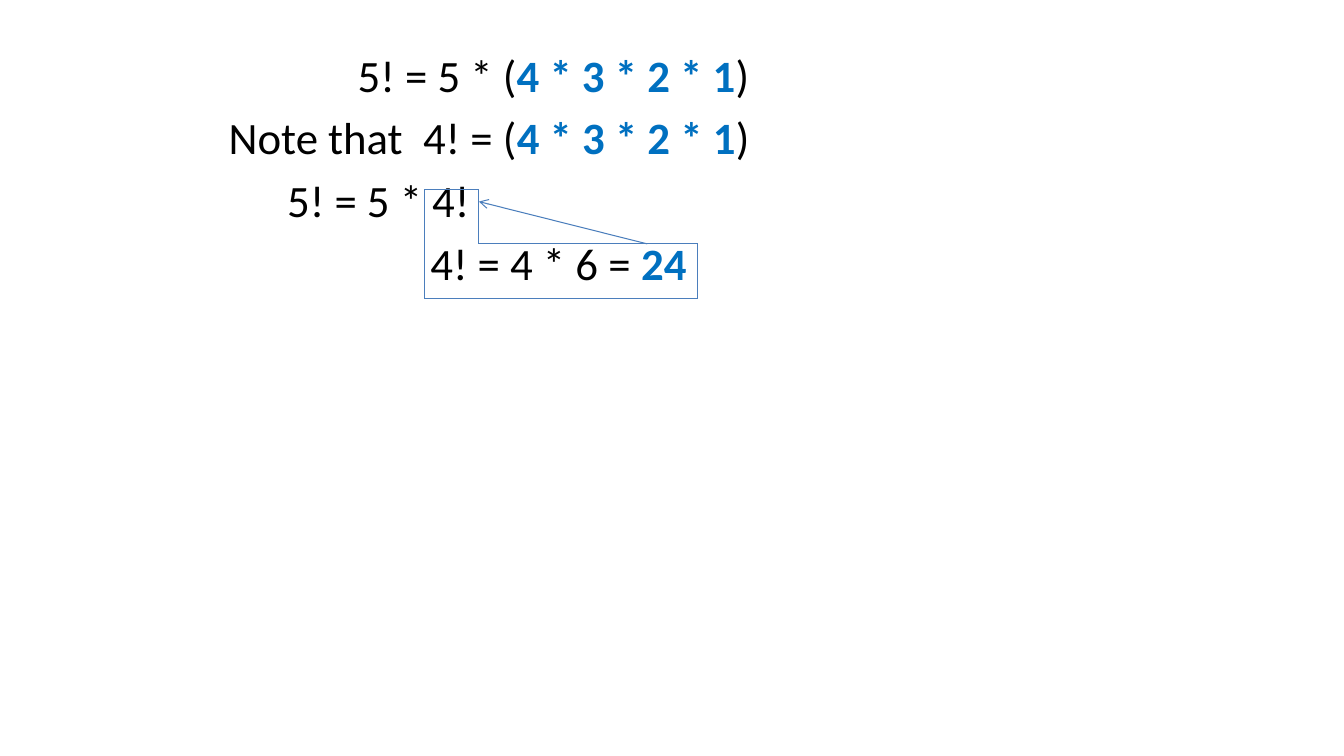
from itertools import pairwise

from lxml.etree import SubElement
from pptx import Presentation
from pptx.dml.color import RGBColor
from pptx.enum.shapes import MSO_CONNECTOR
from pptx.oxml.ns import qn
from pptx.util import Inches, Pt


def color(hex_string):
    return RGBColor.from_string(hex_string)


def add_line(page, start, end):
    line = page.shapes.add_connector(
        MSO_CONNECTOR.STRAIGHT, *[Inches(value) for value in (*start, *end)])
    line.line.color.rgb = color("4B7EBC")
    line.line.width = Pt(0.75)
    SubElement(line._element.spPr, qn("a:effectLst"))
    return line


deck = Presentation()
deck.slide_width, deck.slide_height = Inches(13.33), Inches(7.5)
page = deck.slides.add_slide(deck.slide_layouts[6])

# Factorial steps: indent in inches, then (text, highlighted) spans
product = ("4 * 3 * 2 * 1", True)
steps = [
    (1.28, [("5! = 5 * (", False), product, (")", False)]),
    (0, [("Note that  4! = (", False), product, (")", False)]),
    (0.58, [("5! = 5 * 4!", False)]),
    (2, [("4! = 4 * 6 = ", False), ("24", True)]),
]
box = page.shapes.add_textbox(Inches(2.17), Inches(0.42), Inches(9.5), Inches(6.28))
frame = box.text_frame
frame.word_wrap = True
for index, (indent, spans) in enumerate(steps):
    para = frame.add_paragraph() if index else frame.paragraphs[0]
    para.space_before = Pt(6.4)
    para.font.name = "Calibri"
    para.font.size = Pt(32)
    para._p.get_or_add_pPr().set("marL", str(Inches(indent)))
    for text, highlighted in spans:
        span = para.add_run()
        span.text = text
        span.font.bold = highlighted
        span.font.color.rgb = color("0070C0" if highlighted else "000000")

# Arrow from the result back to 4!
arrow = add_line(page, (6.42, 2.42), (4.75, 2))
SubElement(arrow.line._get_or_add_ln(), qn("a:tailEnd"), type="arrow")

# L-shaped outline around 4! and its evaluation
left, notch, right = 4.21, 4.75, 6.92
top, middle, bottom = 1.88, 2.42, 2.96
corners = [(left, bottom), (left, top), (notch, top), (notch, middle),
           (right, middle), (right, bottom), (left, bottom)]
for start, end in pairwise(corners):
    add_line(page, start, end)

deck.save("out.pptx")
